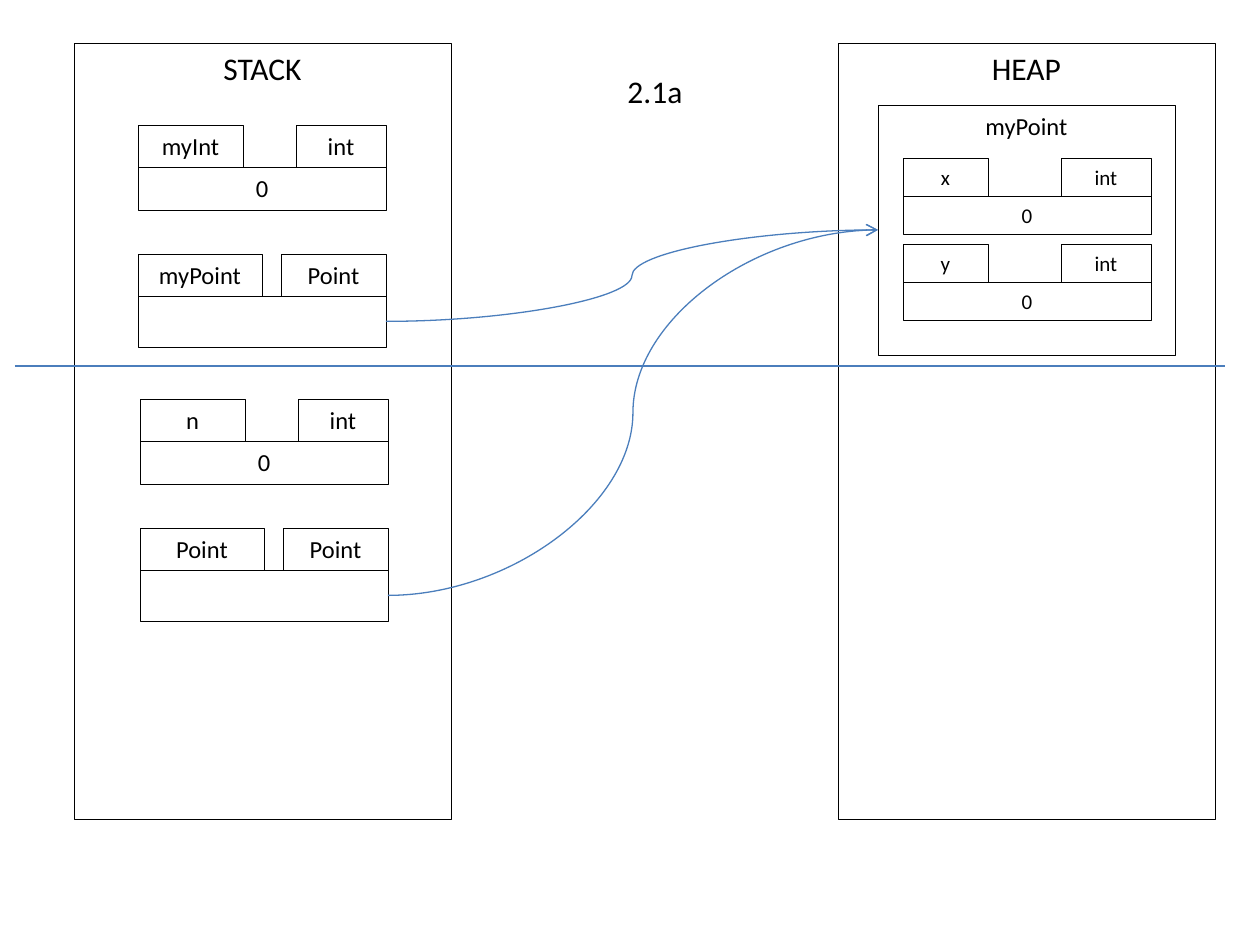
from dataclasses import dataclass

from lxml import etree
from pptx import Presentation
from pptx.dml.color import RGBColor
from pptx.enum.shapes import MSO_CONNECTOR, MSO_SHAPE
from pptx.enum.text import MSO_ANCHOR, PP_ALIGN
from pptx.oxml.ns import qn
from pptx.util import Emu, Pt

RECT = MSO_SHAPE.RECTANGLE
CURVE, LINE = MSO_CONNECTOR.CURVE, MSO_CONNECTOR.STRAIGHT
TOP, CENTER = MSO_ANCHOR.TOP, PP_ALIGN.CENTER
PX = 914400 // 126
LEFT_SITE, RIGHT_SITE = 1, 3


@dataclass(frozen=True)
class Theme:
    """Colours, font and type sizes of the slide."""
    ink: RGBColor = RGBColor(0, 0, 0)
    blue: RGBColor = RGBColor(0x4B, 0x7E, 0xBC)
    font: str = "Calibri"
    head: int = 18
    body: int = 14
    small: int = 12


theme = Theme()


def write(shape, text, size):
    """Set centred text at the top of a shape."""
    frame = shape.text_frame
    frame.word_wrap = True
    frame.vertical_anchor = TOP
    frame.text = text
    para = frame.paragraphs[0]
    para.alignment = CENTER
    for run in para.runs:
        run.font.name = theme.font
        run.font.size = Pt(size)
        run.font.color.rgb = theme.ink


def box(x, y, w, h, text="", size=theme.body):
    """Draw an outlined box, in pixels, and return it."""
    shape = shapes.add_shape(RECT, *(Emu(v * PX) for v in (x, y, w, h)))
    shape.shadow.inherit = False
    shape.fill.background()
    shape.line.color.rgb = theme.ink
    shape.line.width = Pt(0.25)
    write(shape, text, size)
    return shape


deck = Presentation()
deck.slide_width, deck.slide_height = Emu(1260 * PX), Emu(945 * PX)
slide = deck.slides.add_slide(deck.slide_layouts[5])
shapes = slide.shapes

title = shapes.title
title.left, title.top = Emu(551 * PX), Emu(66 * PX)
title.width, title.height = Emu(208 * PX), Emu(50 * PX)
write(title, "2.1a", theme.head)

# Memory areas and the object on the heap
for x, name in ((838, "HEAP"), (74, "STACK")):
    box(x, 43, 377, 776, name, theme.head)
target = box(878, 105, 297, 250, "myPoint")

# Variables: name tab, type tab and value below
CARD = 248
cards = (
    # x, y, name, type, value, name width, type width, tab height, value height, size
    (903, 244, "y", "int", "0", 85, 90, 38, 38, theme.small),
    (903, 158, "x", "int", "0", 85, 90, 38, 38, theme.small),
    (138, 254, "myPoint", "Point", "", 124, 105, 42, 51, theme.body),
    (138, 125, "myInt", "int", "0", 105, 90, 42, 43, theme.body),
    (140, 528, "Point", "Point", "", 124, 105, 42, 51, theme.body),
    (140, 399, "n", "int", "0", 105, 90, 42, 43, theme.body),
)
refs = []
for x, y, name, kind, value, name_w, kind_w, tab_h, value_h, size in cards:
    box(x + CARD - kind_w, y, kind_w, tab_h, kind, size)
    box(x, y, name_w, tab_h, name, size)
    cell = box(x, y + tab_h, CARD, value_h, value, size)
    if not value:
        refs.append(cell)

# References to the heap object, and the line between the two frames
links = []
for ref in refs:
    link = shapes.add_connector(CURVE, 0, 0, 0, 0)
    link.begin_connect(ref, RIGHT_SITE)
    link.end_connect(target, LEFT_SITE)
    links.append(link)
rule = shapes.add_connector(
    LINE, Emu(15 * PX), Emu(366 * PX), Emu(1225 * PX), Emu(366 * PX))
for wire in (*links, rule):
    wire.line.color.rgb = theme.blue
    wire.line.width = Pt(0.75)
    if wire is not rule:
        etree.SubElement(wire.line._get_or_add_ln(), qn("a:tailEnd"), type="arrow")
    etree.SubElement(wire._element.spPr, qn("a:effectLst"))

deck.save("out.pptx")
